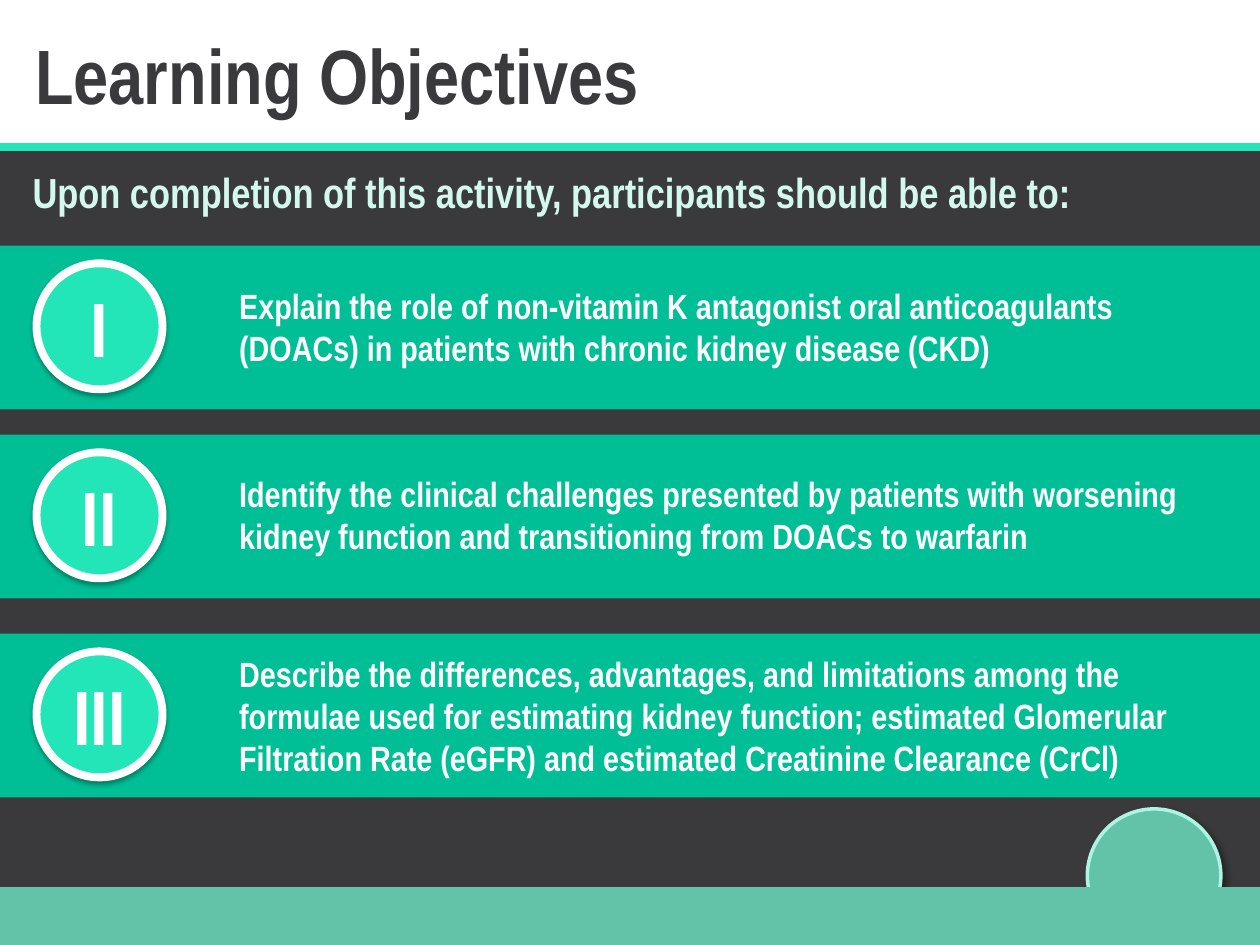
import pptx
import pptx.dml.color
import pptx.enum.shapes
import pptx.enum.text
import pptx.oxml
import pptx.oxml.ns
import pptx.util
from pptx.util import Inches

FONT = "Arial Narrow"
DARK, GREEN, MINT, SAGE, WHITE = "3A3A3C", "00BF96", "22E6B7", "62C3A8", "FFFFFF"
RECTANGLE = pptx.enum.shapes.MSO_SHAPE.RECTANGLE
CIRCLE = pptx.enum.shapes.MSO_SHAPE.FLOWCHART_CONNECTOR
TOP = pptx.enum.text.MSO_ANCHOR.TOP
MIDDLE = pptx.enum.text.MSO_ANCHOR.MIDDLE
LEFT = pptx.enum.text.PP_ALIGN.LEFT
CENTER = pptx.enum.text.PP_ALIGN.CENTER

BAND_HEIGHT = 1.3
# numeral, band top, text top, text width, text height, wording
OBJECTIVES = [
    ("I", 1.95, 2.21, 7.91, 0.77,
     "Explain the role of non-vitamin K antagonist oral anticoagulants "
     "(DOACs) in patients with chronic kidney disease (CKD)"),
    ("II", 3.45, 3.7, 7.65, 0.77,
     "Identify the clinical challenges presented by patients with worsening "
     "kidney function and transitioning from DOACs to warfarin"),
    ("III", 5.03, 5.13, 7.91, 1.11,
     "Describe the differences, advantages, and limitations among the "
     "formulae used for estimating kidney function; estimated Glomerular "
     "Filtration Rate (eGFR) and estimated Creatinine Clearance (CrCl)"),
]


def rgb(value):
    return pptx.dml.color.RGBColor.from_string(value)


def write(shape, text, size, color, align=LEFT, anchor=TOP):
    frame = shape.text_frame
    frame.text = text
    frame_format = {"word_wrap": True, "vertical_anchor": anchor,
                    "auto_size": pptx.enum.text.MSO_AUTO_SIZE.NONE}
    for name, value in frame_format.items():
        setattr(frame, name, value)
    paragraph = frame.paragraphs[0]
    paragraph.alignment = align
    paragraph.line_spacing = 1.0
    paragraph.space_before = pptx.util.Pt(0)
    font_format = {"name": FONT, "size": pptx.util.Pt(size), "bold": True}
    for name, value in font_format.items():
        setattr(paragraph.runs[0].font, name, value)
    paragraph.runs[0].font.color.rgb = rgb(color)


def add_text(slide, box, text, size, color):
    write(slide.shapes.add_textbox(*map(Inches, box)), text, size, color)


def add_filled(slide, preset, box, fill):
    shape = slide.shapes.add_shape(preset, *map(Inches, box))
    shape.shadow.inherit = False
    shape.fill.solid()
    shape.fill.fore_color.rgb = rgb(fill)
    shape.line.fill.background()
    return shape


def add_circle(slide, box, fill, outline, outline_width, shadow):
    """Add an outlined circle; shadow is opacity %, blur pt, distance pt, angle."""
    circle = add_filled(slide, CIRCLE, box, fill)
    circle.line.color.rgb = rgb(outline)
    circle.line.width = pptx.util.Pt(outline_width)
    opacity, blur, distance, angle = shadow
    effects = circle._element.spPr.find(pptx.oxml.ns.qn("a:effectLst"))
    effects.append(pptx.oxml.parse_xml(
        f'<a:outerShdw {pptx.oxml.ns.nsdecls("a")} blurRad="{pptx.util.Pt(blur)}" '
        f'dist="{pptx.util.Pt(distance)}" dir="{angle * 60000}" rotWithShape="0">'
        f'<a:srgbClr val="000000"><a:alpha val="{opacity * 1000}"/></a:srgbClr>'
        '</a:outerShdw>'))
    return circle


def add_rule(slide, y):
    rule = slide.shapes.add_connector(
        pptx.enum.shapes.MSO_CONNECTOR.STRAIGHT,
        Inches(0), Inches(y), Inches(10), Inches(y))
    rule.line.color.rgb = rgb(MINT)
    rule.line.width = pptx.util.Pt(4.5)
    rule._element.spPr.append(pptx.oxml.parse_xml(
        f'<a:effectLst {pptx.oxml.ns.nsdecls("a")}/>'))


def add_objective(slide, numeral, band_top, text_top, width, height, wording):
    add_filled(slide, RECTANGLE, (0, band_top, 10, BAND_HEIGHT), GREEN)
    badge = add_circle(slide, (0.29, band_top + 0.14, 1, 1), MINT, WHITE, 4.5,
                       (35, 3.1, 1.8, 90))
    write(badge, numeral, 44, WHITE, CENTER, MIDDLE)
    add_text(slide, (1.8, text_top, width, height), wording, 20, WHITE)


def add_title(slide, box, text):
    title = slide.shapes.title
    for name, value in zip(("left", "top", "width", "height"), box):
        setattr(title, name, Inches(value))
    write(title, text, 44, DARK)


def main():
    deck = pptx.Presentation()
    deck.slide_width, deck.slide_height = Inches(10), Inches(7.5)
    slide = deck.slides.add_slide(deck.slide_layouts[5])

    add_title(slide, (0.18, 0.17, 8.82, 0.84), "Learning Objectives")
    add_filled(slide, RECTANGLE, (0, 1.17, 10, 5.87), DARK)
    add_rule(slide, 1.17)
    add_text(slide, (0.16, 1.27, 9.49, 0.6),
             "Upon completion of this activity, participants should be able to:",
             24, "D3F9EF")
    add_circle(slide, (8.63, 6.42, 1.06, 1.06), SAGE, "AEF4E2", 2, (40, 4, 3, 45))
    add_filled(slide, RECTANGLE, (0, 7.04, 10, 0.46), SAGE)
    for objective in OBJECTIVES:
        add_objective(slide, *objective)

    deck.save("out.pptx")


if __name__ == "__main__":
    main()
